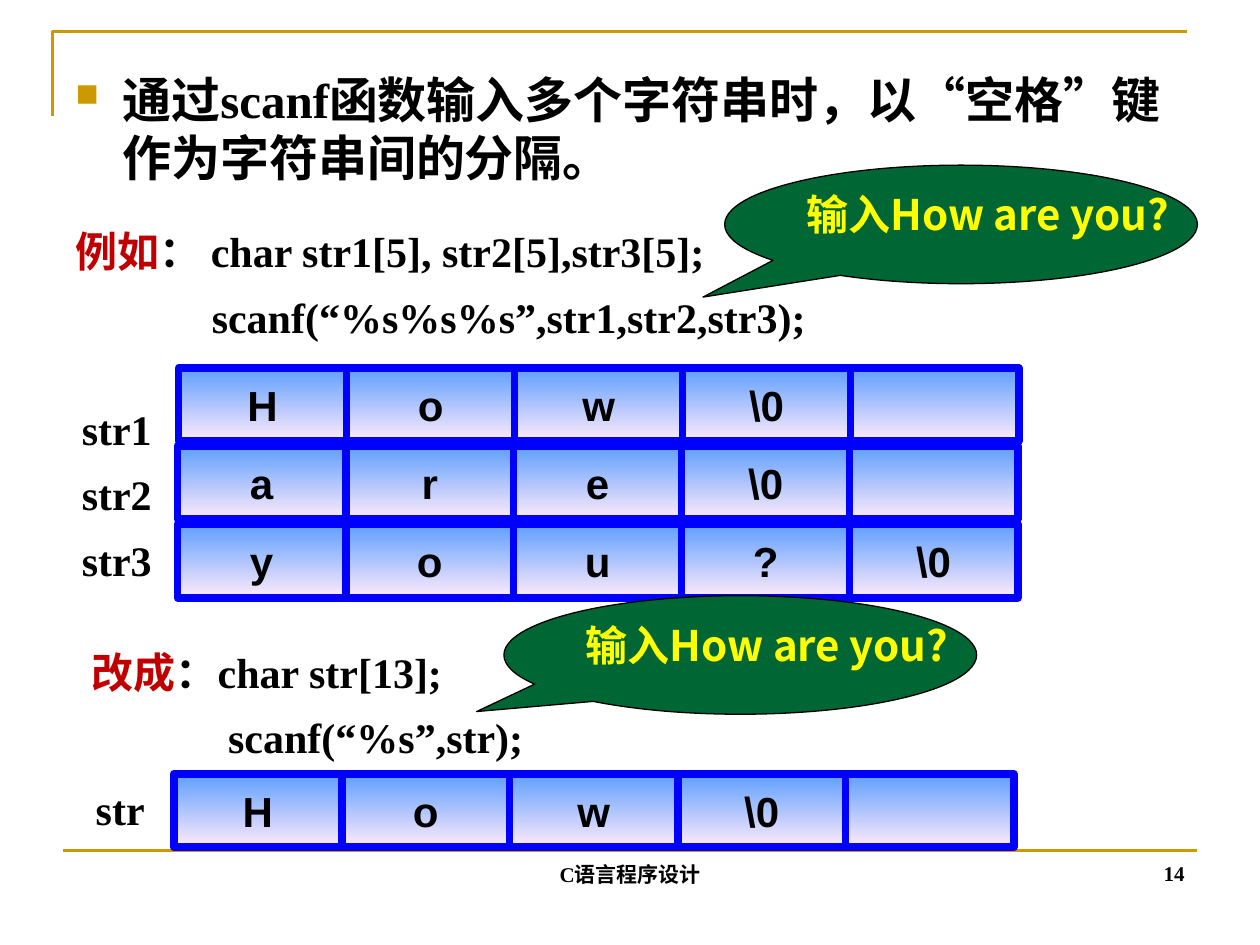
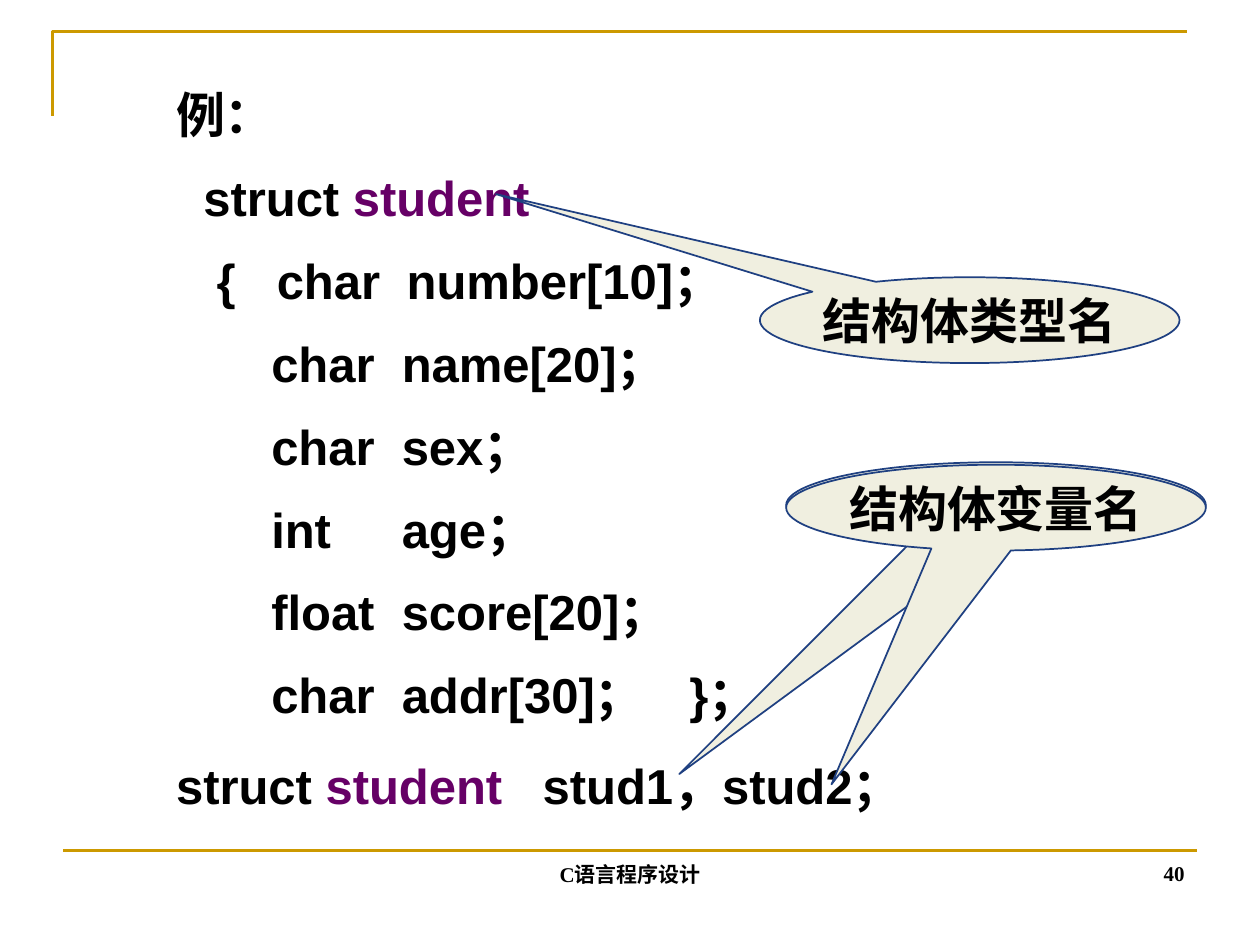
"""Build two C programming lecture slides: string input and struct definition."""
from dataclasses import dataclass

from lxml import etree
from pptx import Presentation
from pptx.dml.color import RGBColor
from pptx.enum import lang, shapes, text
from pptx.oxml.ns import qn
from pptx.util import Cm, Pt


@dataclass(frozen=True)
class Theme:
    """Colours, fonts and type sizes."""
    ink: str = "000000"
    gold: str = "CC9900"
    red: str = "C00000"
    purple: str = "660066"
    green: str = "006633"
    yellow: str = "FFFF00"
    cream: str = "F0EFE0"
    navy: str = "1F4081"
    cell_line: str = "0000FF"
    cell_top: str = "5E9EFF"
    cell_bottom: str = "FFEBFA"
    serif: str = "Times New Roman"
    sans: str = "Arial"
    cjk: str = "Noto Sans CJK JP"
    small: int = 12
    medium: int = 24
    large: int = 28


T = Theme()
FOOTER = "C语言程序设计"
CELL_W, CELL_H = 3.39, 1.48

BULLET = [((), [("通过scanf函数输入多个字符串时，以“空格”键作为字符串间的分隔。", T.ink)])]
EXAMPLE = [
    ((), [("例如", T.red), ("： char str1[5], str2[5],str3[5];", T.ink)]),
    ((2.75,), [("\tscanf(“%s%s%s”,str1,str2,str3);", T.ink)]),
]
CHANGED = [
    ((), [("改成", T.red), ("：char str[13];", T.ink)]),
    ((2.75,), [("\tscanf(“%s”,str);", T.ink)]),
]
LABELS = [((), [(name, T.ink)]) for name in ("str1", "str2", "str3")]
ARRAYS = [
    (3.6, 7.42, ["H", "o", "w", "\\0", ""]),
    (3.58, 8.99, ["a", "r", "e", "\\0", ""]),
    (3.58, 10.57, ["y", "o", "u", "?", "\\0"]),
]
SHORT_ARRAY = (3.5, 15.6, ["H", "o", "w", "\\0", ""])
INPUT_TEXT = "输入How are you?"

FIELD_TABS = (1.92, 4.55)
STRUCT = [
    ((), [("例：", T.ink)]),
    ((0.55,), [("\tstruct ", T.ink), ("student", T.purple)]),
    ((0.82, 2.03, 4.65), [("\t{\tchar\tnumber[10]；", T.ink)]),
    (FIELD_TABS, [("\tchar\tname[20]；", T.ink)]),
    (FIELD_TABS, [("\tchar\tsex；", T.ink)]),
    (FIELD_TABS, [("\tint\tage；", T.ink)]),
    (FIELD_TABS, [("\tfloat\tscore[20]；", T.ink)]),
    (FIELD_TABS + (10.35,), [("\tchar\taddr[30]；\t}；", T.ink)]),
]
VARIABLES = [((7.39,), [("struct ", T.ink), ("student", T.purple), ("\tstud1，stud2；", T.ink)])]
NAME_CALLOUTS = [
    ((15.85, 9.32), (-0.755, 3.133), "结构体变量名"),
    ((15.85, 9.37), (-0.392, 3.224), "结构体变量名"),
    ((15.32, 5.59), (-1.129, -1.469), "结构体类型名"),
]


def rgb(value):
    """Turn a hex string into a colour."""
    return RGBColor.from_string(value)


def write(sp, lines, size, font, align=text.PP_ALIGN.LEFT, anchor=text.MSO_ANCHOR.TOP,
          wrap=True, before=0, spacing=None):
    """Write lines of (tab stops, runs) into a shape."""
    tf = sp.text_frame
    tf.word_wrap = wrap
    tf.vertical_anchor = anchor
    for i, (stops, runs) in enumerate(lines):
        p = tf.add_paragraph() if i else tf.paragraphs[0]
        p.alignment = align
        p.space_before = Pt(before)
        if spacing:
            p.line_spacing = spacing
        if stops:
            tabs = etree.SubElement(p._p.get_or_add_pPr(), qn("a:tabLst"))
            for stop in stops:
                etree.SubElement(tabs, qn("a:tab"), pos=str(Cm(stop)), algn="l")
        for content, color in runs:
            r = p.add_run()
            r.text = content
            r.font.size = Pt(size)
            r.font.bold = True
            r.font.name = font
            r.font.language_id = lang.MSO_LANGUAGE_ID.SIMPLIFIED_CHINESE
            r.font.color.rgb = rgb(color)
            etree.SubElement(r.font._element, qn("a:ea"), typeface=T.cjk)
    return sp


def add_text(s, box, lines, size, font, **style):
    """Add a text box."""
    return write(s.shapes.add_textbox(*map(Cm, box)), lines, size, font, **style)


def add_shape(s, kind, box, line, width):
    """Add an outlined preset shape without a shadow."""
    sp = s.shapes.add_shape(kind, *map(Cm, box))
    sp.shadow.inherit = False
    sp.line.color.rgb = rgb(line)
    sp.line.width = Pt(width)
    return sp


def add_callout(s, box, tip, fill, line, width):
    """Add an oval callout whose tail ends at tip."""
    sp = add_shape(s, shapes.MSO_SHAPE.OVAL_CALLOUT, box, line, width)
    sp.adjustments[0], sp.adjustments[1] = tip
    sp.fill.solid()
    sp.fill.fore_color.rgb = rgb(fill)
    return sp


def add_input_callout(s, left, top, tip):
    """Add a green callout with the typed input."""
    sp = add_callout(s, (left, top, 9.53, 2.39), tip, T.green, T.ink, 0.75)
    write(sp, [((), [(INPUT_TEXT, T.yellow)])], T.medium, T.cjk, wrap=False)


def add_array(s, left, top, chars):
    """Draw a character array as a row of cells."""
    for i, char in enumerate(chars):
        box = (left + i * CELL_W * 0.999, top, CELL_W, CELL_H)
        sp = add_shape(s, shapes.MSO_SHAPE.RECTANGLE, box, T.cell_line, 4.5)
        sp.fill.gradient()
        sp.fill.gradient_angle = 270
        for stop, color in zip(sp.fill.gradient_stops, (T.cell_top, T.cell_bottom)):
            stop.color.rgb = rgb(color)
        if char:
            write(sp, [((), [(char, T.ink)])], T.medium, T.sans, text.PP_ALIGN.CENTER,
                  text.MSO_ANCHOR.MIDDLE, wrap=False)


def add_bullet(p):
    """Give a paragraph a hanging square bullet."""
    pPr = p._p.get_or_add_pPr()
    pPr.set("marL", str(Cm(0.95)))
    pPr.set("indent", str(-Cm(0.95)))
    color = etree.SubElement(pPr, qn("a:buClr"))
    etree.SubElement(color, qn("a:srgbClr"), val=T.gold)
    etree.SubElement(pPr, qn("a:buSzPct"), val="65000")
    etree.SubElement(pPr, qn("a:buChar"), char="■")


def new_slide(prs, number):
    """Add a slide with the gold frame, footer and number."""
    s = prs.slides.add_slide(prs.slide_layouts[6])
    pen = s.shapes.build_freeform(Cm(1.06), Cm(2.33))
    pen.add_line_segments([(Cm(1.06), Cm(0.64)), (Cm(23.92), Cm(0.64))], close=False)
    corner = pen.convert_to_shape()
    corner.shadow.inherit = False
    corner.fill.background()
    rule = s.shapes.add_connector(shapes.MSO_CONNECTOR.STRAIGHT,
                                  Cm(1.27), Cm(17.15), Cm(24.13), Cm(17.15))
    etree.SubElement(rule._element.spPr, qn("a:effectLst"))
    for sp in (corner, rule):
        sp.line.color.rgb = rgb(T.gold)
        sp.line.width = Pt(1.5)
    for box, content, align in (
        ((18.21, 16.71, 5.92, 1.27), str(number), text.PP_ALIGN.RIGHT),
        ((8.68, 16.74, 8.05, 1.27), FOOTER, text.PP_ALIGN.CENTER),
    ):
        add_text(s, box, [((), [(content, T.ink)])], T.small, T.serif,
                 align=align, anchor=text.MSO_ANCHOR.BOTTOM)
    return s


def build_input_slide(prs):
    """Show scanf reading several strings."""
    s = new_slide(prs, 14)
    code = dict(size=T.medium, font=T.serif, before=3, spacing=1.2)
    add_text(s, (1.27, 4.22, 23.09, 2.97), EXAMPLE, **code)
    add_input_callout(s, 14.61, 3.33, (-0.546, 0.613))
    for array in ARRAYS:
        add_array(s, *array)
    add_text(s, (1.4, 7.8, 2.1, 4.14), LABELS, **code)
    add_text(s, (1.6, 12.7, 21.82, 2.79), CHANGED, **code)
    add_array(s, *SHORT_ARRAY)
    add_text(s, (1.68, 15.67, 1.5, 1.27), [((), [("str", T.ink)])], T.medium, T.serif, wrap=False)
    sp = add_text(s, (1.27, 1.27, 22.86, 3.38), BULLET, T.large, T.serif, before=7)
    add_bullet(sp.text_frame.paragraphs[0])
    add_input_callout(s, 10.16, 12.01, (-0.558, 0.477))


def build_struct_slide(prs):
    """Show a struct type and its variables."""
    s = new_slide(prs, 40)
    add_text(s, (3.3, 15.11, 17.98, 1.45), VARIABLES, T.large, T.sans)
    add_text(s, (3.3, 1.35, 17.78, 13.39), STRUCT, T.large, T.sans, before=7, spacing=1.2)
    for place, tip, name in NAME_CALLOUTS:
        sp = add_callout(s, (*place, 8.46, 1.73), tip, T.cream, T.navy, 1)
        write(sp, [((), [(name, T.ink)])], T.large, T.sans, text.PP_ALIGN.CENTER,
              text.MSO_ANCHOR.MIDDLE, wrap=False)


def main():
    """Build and save the presentation."""
    prs = Presentation()
    prs.slide_width, prs.slide_height = Cm(25.4), Cm(19.05)
    build_input_slide(prs)
    build_struct_slide(prs)
    prs.save("out.pptx")


if __name__ == "__main__":
    main()
